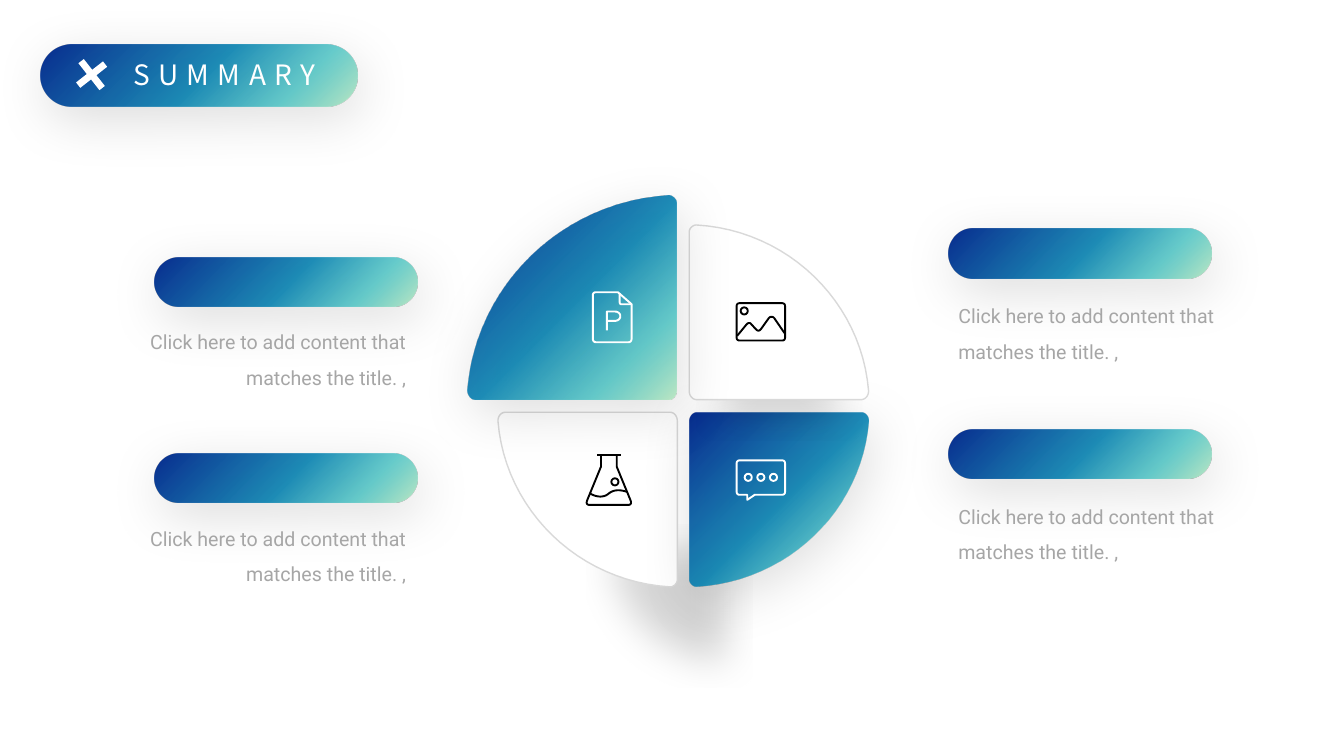
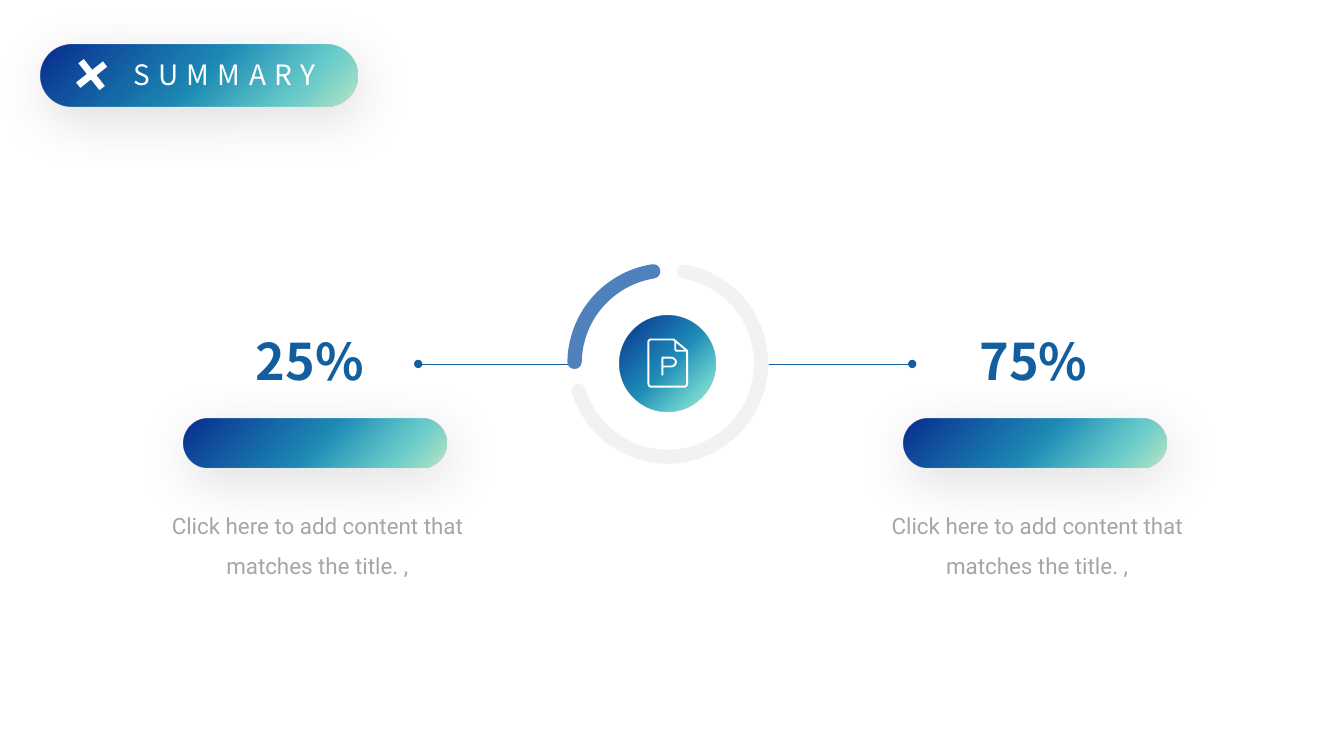
from dataclasses import dataclass

from lxml import etree
from pptx import Presentation
from pptx.dml.color import RGBColor
from pptx.enum import shapes as kinds, text as txt
from pptx.oxml.ns import qn
from pptx.util import Cm, Pt

WHITE = RGBColor(0xFF, 0xFF, 0xFF)
BLACK = RGBColor(0, 0, 0)
GREY = RGBColor(0xA6, 0xA6, 0xA6)
EDGE = RGBColor(0xD9, 0xD9, 0xD9)
PALE = RGBColor(0xF2, 0xF2, 0xF2)
BLUE = RGBColor(0x12, 0x5E, 0x9F)
STEEL = RGBColor(0x4F, 0x81, 0xBD)
STOPS = (
    (0, RGBColor(0x00, 0x24, 0x8B), 96),
    (52, RGBColor(0x06, 0x81, 0xB0), 89),
    (79, RGBColor(0x45, 0xC2, 0xC2), 80),
    (100, RGBColor(0xBD, 0xE8, 0xC2), 96),
)
HEAD = "Noto Sans CJK SC"
BODY = "Roboto"
NOTE = "Click here to add content that matches the title. ,"
LEFT, MID, RIGHT = txt.PP_ALIGN.LEFT, txt.PP_ALIGN.CENTER, txt.PP_ALIGN.RIGHT
KIND = kinds.MSO_SHAPE


@dataclass(frozen=True)
class Box:
    x: float
    y: float
    w: float
    h: float

    def cm(self) -> tuple:
        return Cm(self.x), Cm(self.y), Cm(self.w), Cm(self.h)


@dataclass(frozen=True)
class Shade:
    alpha: int
    blur: float
    dist: float
    turn: float
    scale: int = 100
    side: str = "t"


@dataclass(frozen=True)
class Icon:
    paths: tuple
    dots: tuple = ()


@dataclass(frozen=True)
class Wedge:
    box: Box
    flipx: bool
    flipy: bool
    shade: Shade
    icon: Icon
    spot: Box
    full: bool


@dataclass(frozen=True)
class Item:
    x: float
    y: float
    dx: float
    dy: float
    align: int
    size: int = 14


SOFT = Shade(15, 40, 10, 70)

QUARTER = (
    (0.96, 0), (0.45, 0.03, 0.04, 0.44, 0, 0.95), (0, 0.98, 0.02, 1, 0.04, 1),
    (0.96, 1), (0.98, 1, 1, 0.98, 1, 0.95), (1, 0.04),
    (1, 0.02, 0.98, 0, 0.96, 0),
)
PAGE = Icon((
    ((0.64, 0.02), (0.97, 0.25), (0.97, 0.91), (0.97, 0.95, 0.94, 0.98, 0.9, 0.98),
     (0.1, 0.98), (0.06, 0.98, 0.03, 0.95, 0.03, 0.91), (0.03, 0.08),
     (0.03, 0.04, 0.06, 0.02, 0.1, 0.02), (0.64, 0.02)),
    ((0.68, 0.04), (0.68, 0.2), (0.68, 0.24, 0.7, 0.25, 0.73, 0.25), (0.97, 0.25)),
    ((0.37, 0.75), (0.37, 0.39), (0.56, 0.39), (0.74, 0.39, 0.74, 0.57, 0.56, 0.57),
     (0.37, 0.57)),
))
FLASK = Icon((
    ((0.25, 0.02), (0.76, 0.02)),
    ((0.33, 0.02), (0.33, 0.25), (0.03, 0.9), (0.01, 0.95, 0.03, 0.98, 0.08, 0.98),
     (0.92, 0.98), (0.97, 0.98, 0.99, 0.95, 0.97, 0.9), (0.67, 0.25), (0.67, 0.02)),
    ((0.09, 0.76), (0.25, 0.84, 0.4, 0.84, 0.5, 0.76),
     (0.62, 0.68, 0.75, 0.69, 0.89, 0.73)),
), ((0.63, 0.54),))
PHOTO = Icon((
    ((0.08, 0.02), (0.92, 0.02), (0.96, 0.02, 0.98, 0.05, 0.98, 0.09), (0.98, 0.91),
     (0.98, 0.95, 0.96, 0.98, 0.92, 0.98), (0.08, 0.98),
     (0.04, 0.98, 0.02, 0.95, 0.02, 0.91), (0.02, 0.09),
     (0.02, 0.05, 0.04, 0.02, 0.08, 0.02)),
    ((0.03, 0.86), (0.22, 0.56), (0.25, 0.52, 0.29, 0.52, 0.31, 0.56), (0.41, 0.7),
     (0.45, 0.75, 0.48, 0.72, 0.5, 0.69), (0.66, 0.4),
     (0.69, 0.36, 0.74, 0.36, 0.77, 0.41), (0.97, 0.79)),
), ((0.17, 0.22),))
CHAT = Icon((
    ((0.08, 0.02), (0.92, 0.02), (0.96, 0.02, 0.98, 0.05, 0.98, 0.09), (0.98, 0.76),
     (0.98, 0.8, 0.96, 0.83, 0.92, 0.83), (0.38, 0.83), (0.23, 0.95), (0.23, 0.83),
     (0.08, 0.83), (0.04, 0.83, 0.02, 0.8, 0.02, 0.76), (0.02, 0.09),
     (0.02, 0.05, 0.04, 0.02, 0.08, 0.02)),
), ((0.25, 0.42), (0.5, 0.42), (0.75, 0.42)))

WEDGES = (
    Wedge(Box(12.55, 10.39, 4.52, 4.4), False, True, Shade(17, 29, 63, 57, 63, "br"),
          FLASK, Box(14.76, 11.43, 1.17, 1.32), False),
    Wedge(Box(17.37, 10.39, 4.52, 4.4), True, True, SOFT,
          CHAT, Box(18.54, 11.58, 1.27, 1.07), True),
    Wedge(Box(17.37, 5.67, 4.52, 4.4), True, False, Shade(17, 29, 10, 90, 63, "b"),
          PHOTO, Box(18.54, 7.62, 1.27, 0.98), False),
    Wedge(Box(11.79, 4.94, 5.26, 5.13), False, False, SOFT,
          PAGE, Box(14.91, 7.34, 1.04, 1.31), True),
)


def trace(path: tuple, steps: int = 24) -> list:
    pts = [path[0]]
    for seg in path[1:]:
        if len(seg) == 2:
            pts.append(seg)
            continue
        ends = pts[-1], seg[:2], seg[2:4], seg[4:]
        for n in range(1, steps + 1):
            t = n / steps
            mix = (1 - t) ** 3, 3 * t * (1 - t) ** 2, 3 * t * t * (1 - t), t ** 3
            pts.append(tuple(sum(m * e[k] for m, e in zip(mix, ends)) for k in (0, 1)))
    return pts


def paint(shape, fill=None, line=None, width: float = 1) -> None:
    shape.shadow.inherit = False
    if fill is None:
        shape.fill.background()
    else:
        shape.fill.solid()
        shape.fill.fore_color.rgb = fill
    if line is None:
        shape.line.fill.background()
    else:
        shape.line.color.rgb = line
        shape.line.width = Pt(width)


def blend(shape) -> None:
    shape.fill.gradient()
    shape.fill.gradient_angle = 315
    stops = shape._element.spPr.find(".//" + qn("a:gsLst"))
    for old in list(stops):
        stops.remove(old)
    for pos, tone, alpha in STOPS:
        stop = etree.SubElement(stops, qn("a:gs"), pos=str(pos * 1000))
        clr = etree.SubElement(stop, qn("a:srgbClr"), val=str(tone))
        etree.SubElement(clr, qn("a:alpha"), val=str(alpha * 1000))


def cast(shape, shade: Shade) -> None:
    size = str(shade.scale * 1000)
    drop = etree.SubElement(
        shape._element.spPr.find(qn("a:effectLst")), qn("a:outerShdw"),
        blurRad=str(Pt(shade.blur)), dist=str(Pt(shade.dist)),
        dir=str(int(shade.turn * 60000)), sx=size, sy=size,
        algn=shade.side, rotWithShape="0")
    clr = etree.SubElement(drop, qn("a:srgbClr"), val=str(BLACK))
    etree.SubElement(clr, qn("a:alpha"), val=str(shade.alpha * 1000))


def form(slide, kind, box: Box, fill=None, line=None, width: float = 1):
    shape = slide.shapes.add_shape(kind, *box.cm())
    paint(shape, fill, line, width)
    return shape


def trail(slide, path: tuple, box: Box, flipx: bool = False, flipy: bool = False):
    pts = [(Cm(box.x + box.w * (1 - x if flipx else x)),
            Cm(box.y + box.h * (1 - y if flipy else y))) for x, y in trace(path)]
    pen = slide.shapes.build_freeform(*pts[0])
    pen.add_line_segments(pts[1:], close=path[0] == path[-1][-2:])
    return pen.convert_to_shape()


def glyph(slide, icon: Icon, box: Box, tone: RGBColor) -> None:
    for path in icon.paths:
        paint(trail(slide, path, box), None, tone, 1.35)
    rad = 0.09
    for x, y in icon.dots:
        spot = Box(box.x + x * box.w - rad, box.y + y * box.h - rad, 2 * rad, 2 * rad)
        form(slide, KIND.OVAL, spot, None, tone, 1.35)


def pill(slide, box: Box) -> None:
    shape = form(slide, KIND.ROUNDED_RECTANGLE, box)
    shape.adjustments[0] = 0.5
    blend(shape)
    cast(shape, SOFT)


def write(shape, words: str, face: str, size: float, tone: RGBColor,
          align=LEFT, bold: bool = False, inset: bool = False):
    frame = shape.text_frame
    frame.auto_size = txt.MSO_AUTO_SIZE.NONE
    frame.word_wrap = True
    if not inset:
        frame.margin_left = frame.margin_right = 0
        frame.margin_top = frame.margin_bottom = 0
    frame.text = words
    para = frame.paragraphs[0]
    para.alignment = align
    font = para.runs[0].font
    font.name, font.size, font.bold = face, Pt(size), bold
    font.color.rgb = tone
    return para


def start(deck):
    slide = deck.slides.add_slide(deck.slide_layouts[5])
    pill(slide, Box(1.02, 1.12, 7.98, 1.57))
    title = slide.shapes.title
    title.left, title.top, title.width, title.height = Box(3.05, 1.45, 5.21, 0.86).cm()
    para = write(title, "SUMMARY", HEAD, 20, WHITE, MID)
    para.runs[0].font._element.set("spc", "600")
    title.text_frame.word_wrap = False
    title.text_frame.vertical_anchor = txt.MSO_ANCHOR.MIDDLE
    slide.shapes._spTree.append(title._element)
    cross = form(slide, KIND.CROSS, Box(1.88, 1.45, 0.86, 0.86), WHITE)
    cross.adjustments[0] = 0.4
    cross.rotation = 322
    return slide


def entry(slide, item: Item) -> None:
    pill(slide, Box(item.x, item.y, 6.63, 1.24))
    spot = Box(item.x + item.dx, item.y + item.dy, 7.52, 1.8)
    para = write(slide.shapes.add_textbox(*spot.cm()), NOTE, BODY, item.size, GREY,
                 item.align)
    para.line_spacing = 1.5


def wheel(deck) -> None:
    slide = start(deck)
    for wedge in WEDGES:
        shape = trail(slide, QUARTER, wedge.box, wedge.flipx, wedge.flipy)
        paint(shape, WHITE, None if wedge.full else EDGE)
        if wedge.full:
            blend(shape)
        cast(shape, wedge.shade)
    for wedge in WEDGES:
        glyph(slide, wedge.icon, wedge.spot, WHITE if wedge.full else BLACK)
    for y in (6.48, 11.43):
        entry(slide, Item(3.89, y, -1.17, 1.55, RIGHT))
    for y in (5.77, 10.82):
        entry(slide, Item(23.9, y, 0.25, 1.6, LEFT))


def ring(deck) -> None:
    slide = start(deck)
    for near, far in ((19.38, 22.99), (14.33, 10.54)):
        link = slide.shapes.add_connector(
            kinds.MSO_CONNECTOR.STRAIGHT, Cm(near), Cm(9.17), Cm(far), Cm(9.17))
        link.line.color.rgb = BLUE
        link.line.width = Pt(0.25)
        etree.SubElement(link.line._get_or_add_ln(), qn("a:tailEnd"), type="oval")
        etree.SubElement(link._element.spPr, qn("a:effectLst"))
    for tone, width, first, last in ((PALE, 10, 280, 163), (STEEL, 10.25, 181, 261)):
        arc = form(slide, KIND.ARC, Box(14.48, 6.81, 4.7, 4.7), None, tone, width)
        arc.adjustments[0], arc.adjustments[1] = first * 0.6, last * 0.6
        arc.line._get_or_add_ln().set("cap", "rnd")
    blend(form(slide, KIND.OVAL, Box(15.62, 7.95, 2.41, 2.41)))
    glyph(slide, PAGE, Box(16.31, 8.53, 1.04, 1.24), WHITE)
    for x, share, left in ((6.2, "25%", 4.62), (24.43, "75%", 22.76)):
        label = slide.shapes.add_textbox(*Box(x, 8.2, 3.58, 1.8).cm())
        write(label, share, HEAD, 36, BLUE, bold=True, inset=True)
        entry(slide, Item(left, 10.54, -0.38, 2.03, MID, 16))


def main() -> None:
    deck = Presentation()
    deck.slide_width, deck.slide_height = Cm(33.87), Cm(19.05)
    wheel(deck)
    ring(deck)
    deck.save("out.pptx")


if __name__ == "__main__":
    main()
